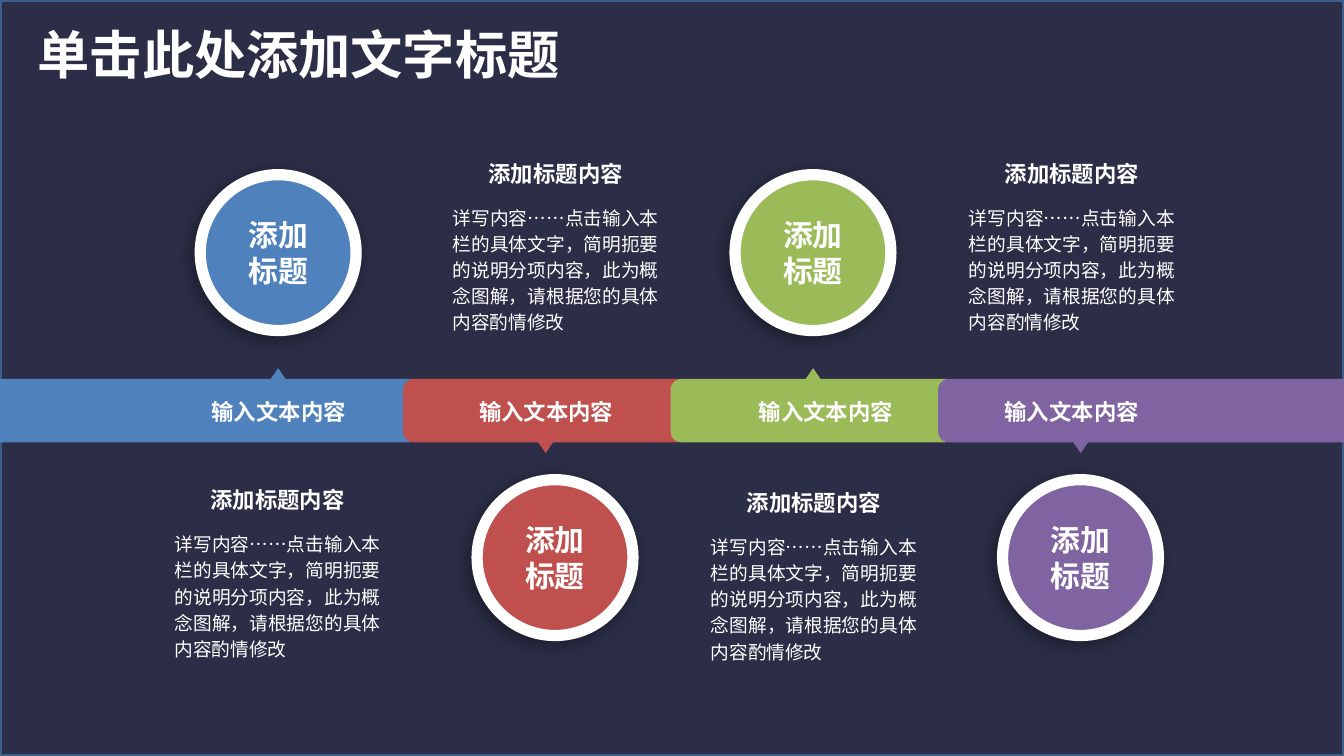
from lxml import etree
from pptx import Presentation
from pptx.dml.color import RGBColor
from pptx.enum import shapes, text
from pptx.oxml import ns
from pptx.util import Pt

FONT = "Noto Sans CJK SC"
NAVY, WHITE = "2C2E47", "FFFFFF"
WIDTH, HEIGHT = 720, 405
BAND_TOP, BAND_HEIGHT = 203, 34
STEP, OVERLAP = 143.3, 9.3
FIRST_TAB = 72.7
BLEED = 8.6
CIRCLE = 83.5
POINTER_WIDTH, POINTER_HEIGHT = 10, 7.2
SHAPE = shapes.MSO_SHAPE
CENTER = text.PP_ALIGN.CENTER
DETAIL = "详写内容……点击输入本栏的具体文字，简明扼要的说明分项内容，此为概念图解，请根据您的具体内容酌情修改"

# colour, circle left and top, note left and top, band caption left
STAGES = [
    ("4F81BD", 107.3, 93.6, 93.6, 260.6, 102.2),
    ("C0504D", 255.6, 257, 242.6, 85.7, 245.5),
    ("9BBB59", 393.8, 93.6, 380.9, 262.1, 395.3),
    ("8064A2", 537.1, 257, 519.1, 85.7, 527),
]


def color(value):
    return RGBColor.from_string(value)


def add_filled(parent, kind, box, fill, line=None, line_width=0):
    shape = parent.add_shape(kind, *map(Pt, box))
    shape.shadow.inherit = False
    shape.fill.solid()
    shape.fill.fore_color.rgb = color(fill)
    if line:
        shape.line.color.rgb = color(line)
        shape.line.width = Pt(line_width)
    else:
        shape.line.fill.background()
    return shape


def add_text(slide, box, words, size, bold=True, align=CENTER, spacing=None):
    frame = slide.shapes.add_textbox(*map(Pt, box)).text_frame
    frame.word_wrap = True
    frame.auto_size = text.MSO_AUTO_SIZE.SHAPE_TO_FIT_TEXT
    frame.margin_left = frame.margin_top = 0
    frame.margin_right = frame.margin_bottom = 0
    paragraph = frame.paragraphs[0]
    paragraph.text = words
    paragraph.alignment = align
    if spacing:
        paragraph.line_spacing = Pt(spacing)
    font = paragraph.font
    font.name, font.size, font.bold = FONT, Pt(size), bold
    font.color.rgb = color(WHITE)
    properties = paragraph._p.find(".//" + ns.qn("a:defRPr"))
    etree.SubElement(properties, ns.qn("a:ea"), typeface=FONT)
    return frame


def cast_shadow(shape):
    effects = shape._element.spPr.find(ns.qn("a:effectLst"))
    shadow = etree.SubElement(
        effects, ns.qn("a:outerShdw"), blurRad=str(Pt(10)), dist=str(Pt(3)),
        dir=str(135 * 60000), algn="tr", rotWithShape="0")
    black = etree.SubElement(shadow, ns.qn("a:srgbClr"), val="000000")
    etree.SubElement(black, ns.qn("a:alpha"), val="40000")


def add_backdrop(slide, width, height):
    slide.background.fill.solid()
    slide.background.fill.fore_color.rgb = color(NAVY)
    add_filled(slide.shapes, SHAPE.RECTANGLE, (0, 0, width, height), NAVY, "3A5F8C", 2)


def add_title(slide, left, top, width, height):
    frame = add_text(slide, (left, top, width, height), "单击此处添加文字标题", 28,
                     align=text.PP_ALIGN.LEFT)
    frame.word_wrap = False


def add_tab(slide, left, top, width, height, pointer_center, points_up, fill):
    """Draw one section of the band with a pointer towards its circle."""
    parts = slide.shapes.add_group_shape().shapes
    bar = add_filled(parts, SHAPE.ROUNDED_RECTANGLE, (left, top, width, height), fill)
    bar.adjustments[0] = 0.167
    pointer_top = top - 5.7 if points_up else top + height - 1.5
    pointer = add_filled(
        parts, SHAPE.ISOSCELES_TRIANGLE,
        (pointer_center - POINTER_WIDTH / 2, pointer_top, POINTER_WIDTH, POINTER_HEIGHT), fill)
    pointer.rotation = 0 if points_up else 180


def add_circle(slide, left, top, diameter, fill):
    circle = add_filled(slide.shapes, SHAPE.OVAL, (left, top, diameter, diameter),
                        fill, WHITE, 6)
    cast_shadow(circle)
    label_width = 44
    add_text(slide, (left + (diameter - label_width) / 2, top + 22.3, label_width, 38.8),
             "添加标题", 16)


def add_note(slide, left, top, width):
    add_text(slide, (left + 8, top, width - 16, 14.4), "添加标题内容", 12)
    add_text(slide, (left, top + 23, width, 70.6), DETAIL, 10, bold=False,
             align=text.PP_ALIGN.JUSTIFY, spacing=14)


def add_stages(slide):
    last = len(STAGES) - 1
    for i, (fill, circle_left, circle_top, note_left, note_top, caption_left) in enumerate(STAGES):
        tab_left = FIRST_TAB + i * STEP
        left = -BLEED if i == 0 else tab_left
        right = WIDTH + BLEED if i == last else tab_left + STEP + OVERLAP
        add_tab(slide, left, BAND_TOP, right - left, BAND_HEIGHT,
                tab_left + (STEP + OVERLAP) / 2, i % 2 == 0, fill)
        add_circle(slide, circle_left, circle_top, CIRCLE, fill)
        add_text(slide, (caption_left, 213.1, 94.3, 14.4), "输入文本内容", 12)
        add_note(slide, note_left, note_top, 110.2)


def main():
    deck = Presentation()
    deck.slide_width, deck.slide_height = Pt(WIDTH), Pt(HEIGHT)
    slide = deck.slides.add_slide(deck.slide_layouts[6])
    add_backdrop(slide, WIDTH, HEIGHT)
    add_title(slide, 20.2, 12.2, 283, 33.8)
    add_stages(slide)
    deck.save("out.pptx")


if __name__ == "__main__":
    main()
